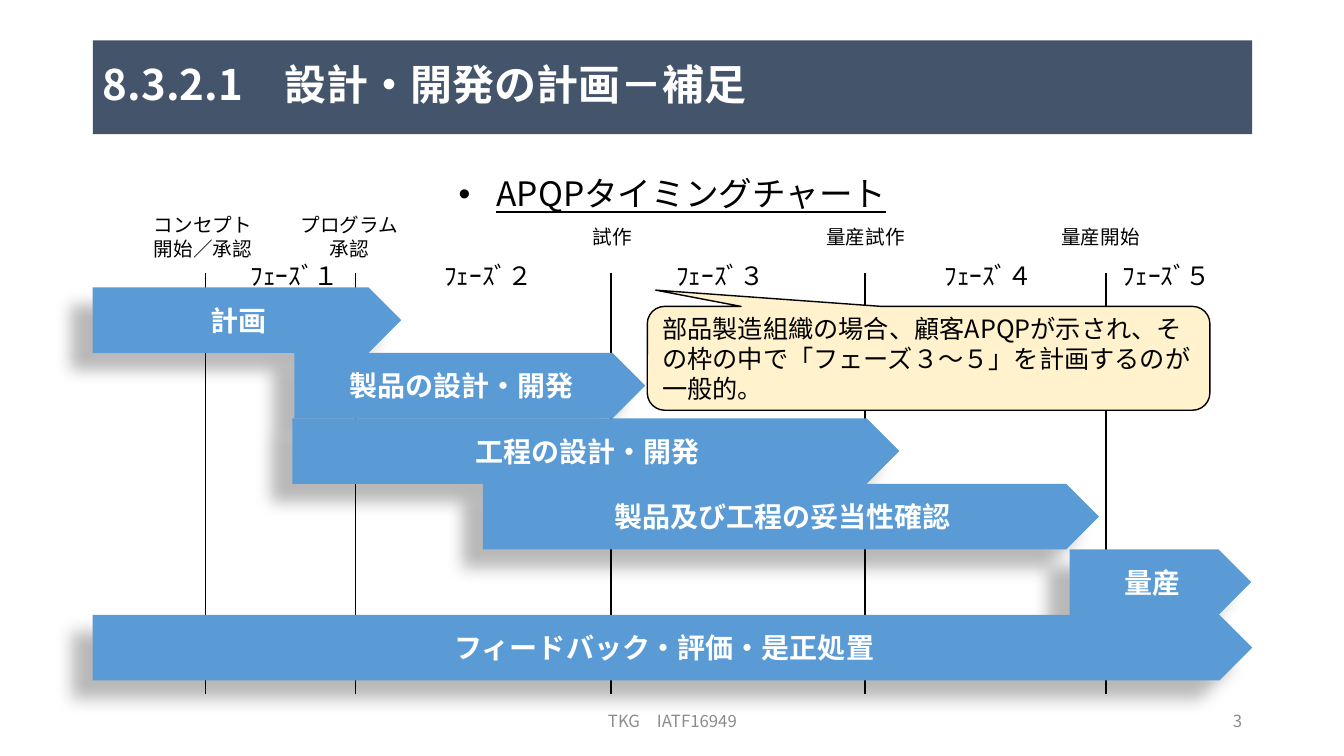
from dataclasses import dataclass
from itertools import pairwise

from lxml import etree
from pptx import Presentation
from pptx.dml.color import RGBColor
from pptx.enum.shapes import MSO_SHAPE
from pptx.enum.text import MSO_ANCHOR, MSO_AUTO_SIZE, PP_ALIGN
from pptx.oxml.ns import qn
from pptx.util import Inches, Pt

ARROW_BAR = MSO_SHAPE.PENTAGON
CALLOUT = MSO_SHAPE.ROUNDED_RECTANGULAR_CALLOUT
LEFT, CENTER, RIGHT = PP_ALIGN.LEFT, PP_ALIGN.CENTER, PP_ALIGN.RIGHT
TOP, MIDDLE = MSO_ANCHOR.TOP, MSO_ANCHOR.MIDDLE
FIXED_SIZE = MSO_AUTO_SIZE.NONE


@dataclass(frozen=True)
class Theme:
    font: str = "Noto Sans CJK JP"
    banner: str = "44546A"
    bar: str = "5B9BD5"
    note: str = "FFF2CC"
    ink: str = "000000"
    light: str = "FFFFFF"
    muted: str = "8C8C8C"
    title_size: int = 30
    heading_size: int = 24
    bar_size: int = 20
    body_size: int = 18
    label_size: int = 14
    footer_size: int = 12


class TimingPage:
    def __init__(self, page, theme):
        self.page = page
        self.theme = theme

    def set_text(self, box, text, size, color, align=CENTER, anchor=MIDDLE, bold=False, underline=False):
        frame = box.text_frame
        frame.text = text
        frame.word_wrap = True
        frame.auto_size = FIXED_SIZE
        frame.vertical_anchor = anchor
        for para in frame.paragraphs:
            para.alignment = align
            for span in para.runs:
                font = span.font
                font.size = Pt(size)
                font.bold = bold
                font.underline = underline
                font.color.rgb = RGBColor.from_string(color)
                font.name = self.theme.font
                east_asian = etree.SubElement(span._r.get_or_add_rPr(), qn("a:ea"))
                east_asian.set("typeface", self.theme.font)

    def place(self, box, left, top, width, height):
        box.left, box.top = Inches(left), Inches(top)
        box.width, box.height = Inches(width), Inches(height)

    def title(self, text):
        box = self.page.shapes.title
        self.place(box, 0.92, 0.4, 11.5, 0.93)
        box.fill.solid()
        box.fill.fore_color.rgb = RGBColor.from_string(self.theme.banner)
        self.set_text(box, text, self.theme.title_size, self.theme.light, LEFT, bold=True)
        box.text_frame.paragraphs[0].line_spacing = 0.9

    def heading(self, text):
        box = self.page.placeholders[1]
        self.place(box, 0.92, 1.67, 11.5, 0.61)
        box.text_frame.text = text
        para = box.text_frame.paragraphs[0]
        properties = para._p.get_or_add_pPr()
        properties.set("marL", "0")
        properties.set("indent", "0")
        etree.SubElement(properties, qn("a:buNone"))
        self.set_text(box, text, self.theme.heading_size, self.theme.ink, anchor=TOP, underline=True)
        para.line_spacing = 0.9
        para.space_before = Pt(0)

    def label(self, text, left, top, width, height, size, color, align=CENTER):
        box = self.page.shapes.add_textbox(Inches(left), Inches(top), Inches(width), Inches(height))
        self.set_text(box, text, size, color, align)

    def shape(self, kind, left, top, width, height, color):
        box = self.page.shapes.add_shape(kind, Inches(left), Inches(top), Inches(width), Inches(height))
        box.fill.solid()
        box.fill.fore_color.rgb = RGBColor.from_string(color)
        box.line.fill.background()
        box.shadow.inherit = False
        return box

    def bar(self, text, left, top, width, height):
        box = self.shape(ARROW_BAR, left, top, width, height, self.theme.bar)
        effects = box._element.spPr.find(qn("a:effectLst"))
        shadow = etree.SubElement(effects, qn("a:outerShdw"))
        shadow.set("blurRad", str(Pt(11.8)))
        shadow.set("dist", str(Pt(19.7)))
        shadow.set("dir", str(141 * 60000))
        shadow.set("rotWithShape", "0")
        color = etree.SubElement(shadow, qn("a:srgbClr"), val=self.theme.ink)
        etree.SubElement(color, qn("a:alpha"), val="28000")
        self.set_text(box, text, self.theme.bar_size, self.theme.light, bold=True)

    def note(self, text, left, top, width, height):
        box = self.shape(CALLOUT, left, top, width, height, self.theme.note)
        box.line.color.rgb = RGBColor.from_string(self.theme.ink)
        box.line.width = Pt(1)
        for index, value in enumerate((-0.485, -0.657, 0.167)):
            box.adjustments[index] = value
        self.set_text(box, text, self.theme.body_size, self.theme.ink, LEFT)

    def border(self, cell, side, visible):
        line = etree.SubElement(cell._tc.get_or_add_tcPr(), qn(f"a:{side}"), w=str(Pt(1)))
        if visible:
            fill = etree.SubElement(line, qn("a:solidFill"))
            etree.SubElement(fill, qn("a:srgbClr"), val=self.theme.ink)
        else:
            etree.SubElement(line, qn("a:noFill"))

    def phase_grid(self, edges, top, height):
        widths = [right - left for left, right in pairwise(edges)]
        last = len(widths) - 1
        frame = self.page.shapes.add_table(
            1, len(widths), Inches(edges[0]), Inches(top), Inches(edges[-1] - edges[0]), Inches(height)
        )
        table = frame.table
        table.first_row = False
        table.horz_banding = False
        for index, width in enumerate(widths):
            table.columns[index].width = Inches(width)
            cell = table.cell(0, index)
            self.border(cell, "lnL", index > 0)
            self.border(cell, "lnR", index < last)
            self.border(cell, "lnT", False)
            self.border(cell, "lnB", False)
            cell.fill.background()


def main():
    deck = Presentation()
    deck.slide_width, deck.slide_height = Inches(13.33), Inches(7.5)
    theme = Theme()
    chart = TimingPage(deck.slides.add_slide(deck.slide_layouts[1]), theme)

    chart.title("8.3.2.1　設計・開発の計画－補足")
    chart.heading("APQPタイミングチャート")
    chart.phase_grid([0.92, 2.04, 3.53, 6.06, 8.58, 10.97, 12.41], 2.71, 4.18)
    chart.label("TKG　IATF16949", 4.42, 6.95, 4.5, 0.4, theme.footer_size, theme.muted)
    chart.label("3", 9.42, 6.95, 3, 0.4, theme.footer_size, theme.muted, RIGHT)

    milestones = [
        ("コンセプト\n開始／承認", 1.36),
        ("プログラム\n承認", 2.81),
        ("試作", 5.42),
        ("量産試作", 7.93),
        ("量産開始", 10.26),
    ]
    for text, left in milestones:
        chart.label(text, left, 2.09, 1.31, 0.51, theme.label_size, theme.ink)

    bar_height = 0.65
    activities = [
        ("計画", 0.92, 3.06),
        ("製品の設計・開発", 2.92, 3.48),
        ("工程の設計・開発", 2.9, 6.02),
        ("製品及び工程の妥当性確認", 4.79, 6.11),
        ("量産", 10.61, 1.8),
        ("フィードバック・評価・是正処置", 0.92, 11.5),
    ]
    for row, (text, left, width) in enumerate(activities):
        chart.bar(text, left, 2.85 + row * bar_height, width, bar_height)

    for number, left in zip("１２３４５", (2.33, 4.25, 6.55, 9.21, 10.98)):
        chart.label(f"ﾌｪｰｽﾞ{number}", left, 2.52, 1.19, 0.43, theme.body_size, theme.ink)

    chart.note(
        "部品製造組織の場合、顧客APQPが示され、その枠の中で「フェーズ３～５」を計画するのが一般的。",
        6.42, 3.04, 5.58, 1.03,
    )
    deck.save("out.pptx")


if __name__ == "__main__":
    main()
